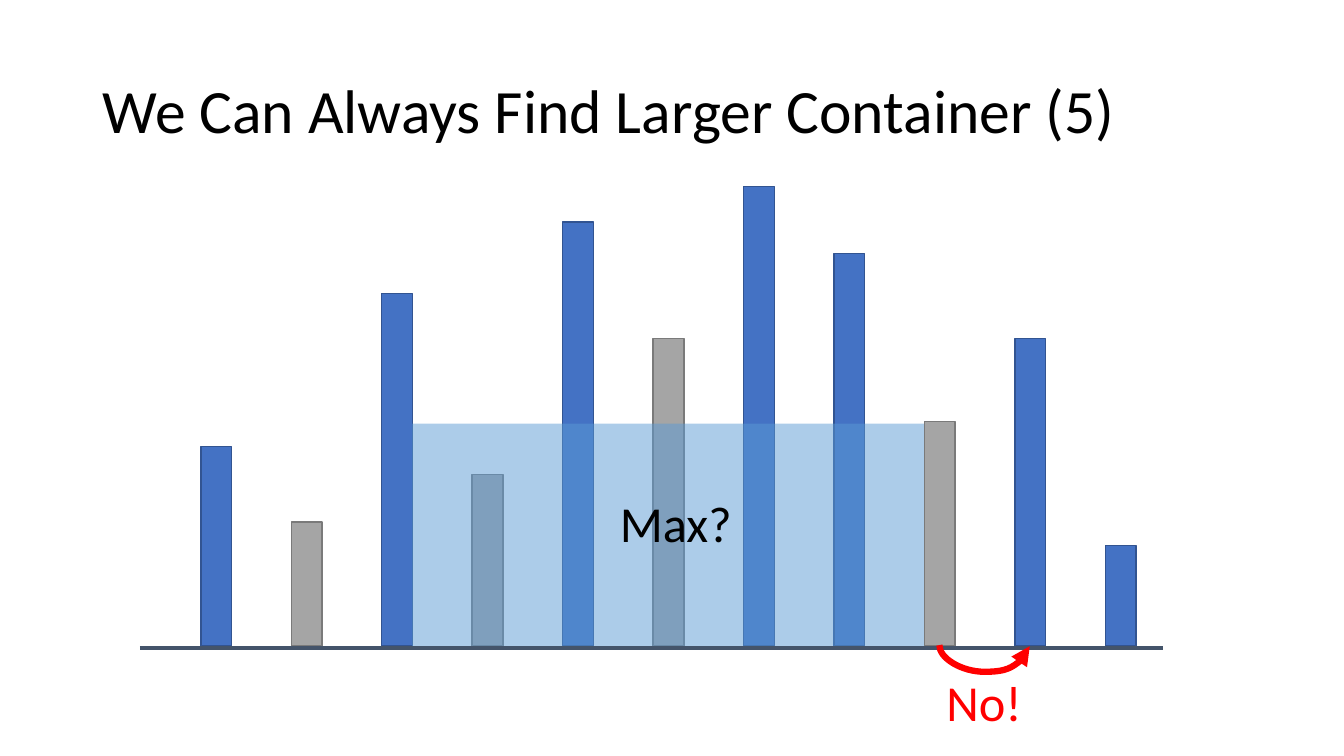
from pptx import Presentation
from pptx.dml.color import RGBColor
from pptx.enum.shapes import MSO_CONNECTOR, MSO_SHAPE
from pptx.enum.text import MSO_ANCHOR, MSO_AUTO_SIZE, PP_ALIGN
from pptx.oxml.ns import qn
from pptx.util import Pt
from lxml.etree import SubElement

BLACK = RGBColor(0x00, 0x00, 0x00)
RED = RGBColor(0xFF, 0x00, 0x00)
BLUE = RGBColor(0x44, 0x72, 0xC4)
BLUE_EDGE = RGBColor(0x32, 0x54, 0x91)
GRAY = RGBColor(0xA5, 0xA5, 0xA5)
GRAY_EDGE = RGBColor(0x7A, 0x7A, 0x7A)
WATER = RGBColor(0x5B, 0x9B, 0xD5)
GROUND = RGBColor(0x44, 0x54, 0x6A)

FLOOR = 461.5
BAR_LEFT = 143.5
BAR_STEP = 64.6
BAR_WIDTH = 22
BAR_TOPS = [319, 373, 209.5, 339, 158.5, 242, 133, 181, 301, 242, 389.5]
GRAY_BARS = {1, 3, 5, 8}
RIGHT_WALL = 8

deck = Presentation()
deck.slide_width = Pt(960)
deck.slide_height = Pt(540)
page = deck.slides.add_slide(deck.slide_layouts[5])


def add_block(left, top, width, fill):
    block = page.shapes.add_shape(
        MSO_SHAPE.RECTANGLE, Pt(left), Pt(top), Pt(width), Pt(FLOOR - top))
    block.shadow.inherit = False
    block.fill.solid()
    block.fill.fore_color.rgb = fill
    return block


def add_span(para, text, size, color):
    span = para.add_run()
    span.text = text
    span.font.name = "Calibri"
    span.font.size = Pt(size)
    span.font.color.rgb = color


title = page.shapes.title
title.left, title.top, title.width, title.height = Pt(66), Pt(28.8), Pt(828), Pt(104.4)
title.text_frame.vertical_anchor = MSO_ANCHOR.MIDDLE
title.text_frame.auto_size = MSO_AUTO_SIZE.NONE
title_para = title.text_frame.paragraphs[0]
title_para.alignment = PP_ALIGN.LEFT
title_para.line_spacing = 0.9
add_span(title_para, "We Can Always Find Larger Container (5)", 44, BLACK)

for index, top in enumerate(BAR_TOPS):
    if index == RIGHT_WALL:
        water = add_block(294.5, 302.5, 371, WATER)
        water.line.fill.background()
        water_color = water.fill._xPr.find(qn("a:solidFill"))[0]
        SubElement(water_color, qn("a:alpha"), val="50000")
    is_gray = index in GRAY_BARS
    bar = add_block(BAR_LEFT + index * BAR_STEP, top, BAR_WIDTH, GRAY if is_gray else BLUE)
    bar.line.color.rgb = GRAY_EDGE if is_gray else BLUE_EDGE
    bar.line.width = Pt(1)

ground = page.shapes.add_connector(
    MSO_CONNECTOR.STRAIGHT, Pt(100), Pt(463), Pt(831), Pt(463))
ground.line.color.rgb = GROUND
ground.line.width = Pt(3)

arrow = page.shapes.add_connector(
    MSO_CONNECTOR.CURVE, Pt(703.7), Pt(428.9), Pt(702.9), Pt(493.5))
arrow.line.color.rgb = RED
arrow.line.width = Pt(4.5)
SubElement(arrow.line._get_or_add_ln(), qn("a:headEnd"), type="triangle")
arrow_properties = arrow._element.spPr
arrow_properties.find(qn("a:xfrm")).set("rot", "5400000")
adjustments = arrow_properties.find(qn("a:prstGeom")).find(qn("a:avLst"))
SubElement(adjustments, qn("a:gd"), name="adj1", fmla="val -2300000")

for connector in (ground, arrow):
    SubElement(connector._element.spPr, qn("a:effectLst"))

for text, left, top, width, color in [
    ("Max?", 435.6, 347.8, 95, BLACK),
    ("No!", 668.9, 475.9, 69.1, RED),
]:
    box = page.shapes.add_textbox(Pt(left), Pt(top), Pt(width), Pt(51))
    box.text_frame.word_wrap = False
    box.text_frame.auto_size = MSO_AUTO_SIZE.SHAPE_TO_FIT_TEXT
    add_span(box.text_frame.paragraphs[0], text, 36, color)

deck.save("out.pptx")
